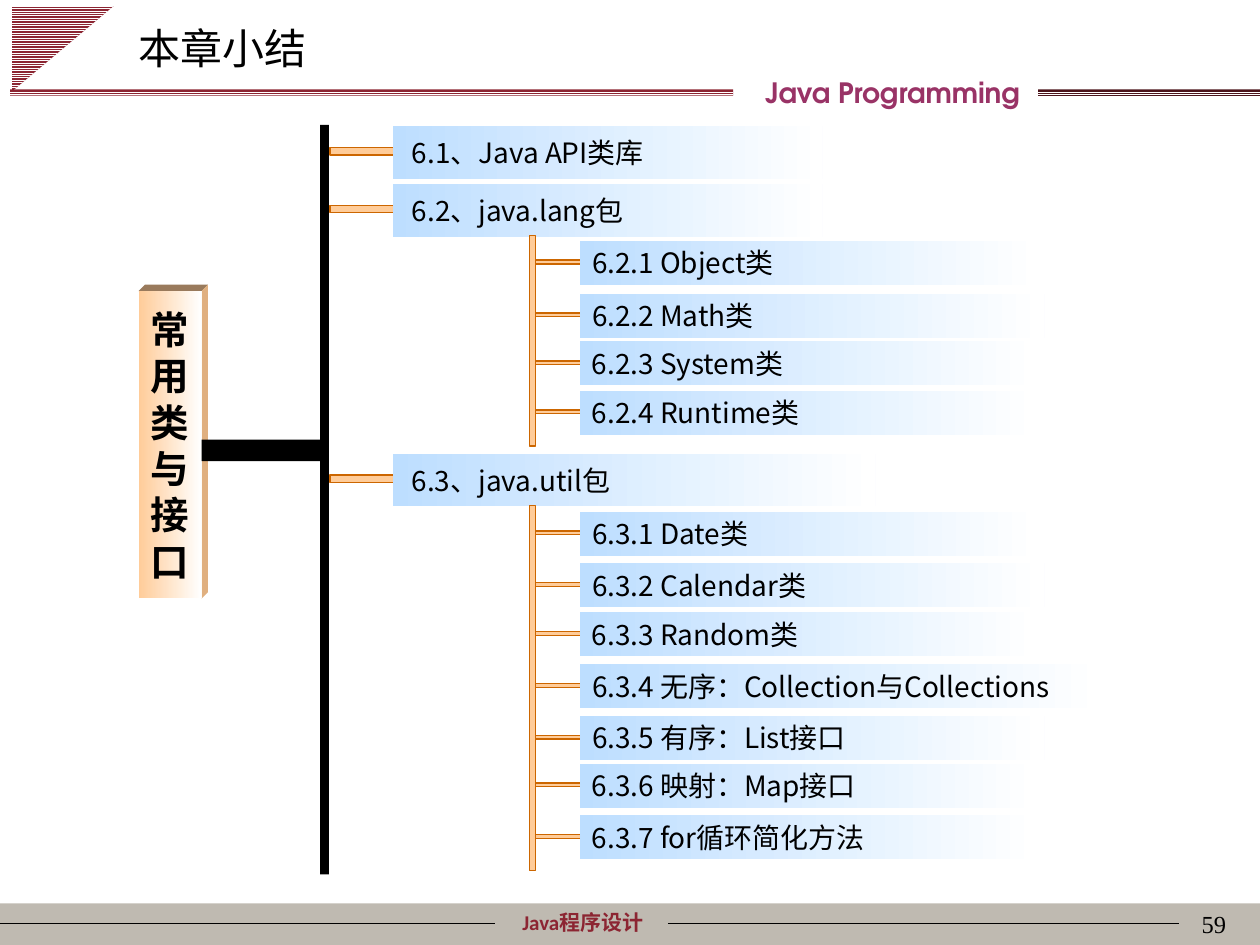
from dataclasses import dataclass
from lxml import etree
from pptx import Presentation, util as u
from pptx.dml.color import RGBColor
from pptx.enum import dml, shapes as sh, text as tx
from pptx.oxml import ns

COLS, ROWS = 100, 75
CELL = u.Inches(0.1)
SANS = "Noto Sans CJK SC"
HUES = {
    "black": "000000", "white": "FFFFFF", "stone": "BFBAB1",
    "wine": "8C2532", "dark": "4C141B", "plum": "993366",
    "peach": "FFCC99", "rust": "CC6600", "sky": "BDDEFF",
    "top": "997A5C", "side": "E0B080",
}


@dataclass(frozen=True)
class Box:
    x: float
    y: float
    w: float
    h: float


@dataclass(frozen=True)
class Leaf:
    label: str
    row: float
    wide: float = 36.4


@dataclass(frozen=True)
class Topic:
    label: str
    row: float
    wide: float = 34.1
    leaves: tuple[Leaf, ...] = ()
    stem: float = 0


TOPICS = (
    Topic(" 6.1、Java API类库", 10),
    Topic(" 6.2、java.lang包", 14.6, stem=16.7, leaves=(
        Leaf("6.2.1 Object类", 19.1, 36.5),
        Leaf("6.2.2 Math类", 23.3, 36.9),
        Leaf("6.2.3 System类", 27.1),
        Leaf("6.2.4 Runtime类", 31),
    )),
    Topic(" 6.3、java.util包", 36, 38.3, stem=29, leaves=(
        Leaf("6.3.1 Date类", 40.6, 36.5),
        Leaf("6.3.2 Calendar类", 44.7, 36.9),
        Leaf("6.3.3 Random类", 48.6),
        Leaf("6.3.4 无序：Collection与Collections", 52.7, 41.5),
        Leaf("6.3.5 有序：List接口", 56.8, 36.9),
        Leaf("6.3.6 映射：Map接口", 60.6),
        Leaf("6.3.7 for循环简化方法", 64.7),
    )),
)


def hue(name: str) -> RGBColor:
    return RGBColor.from_string(HUES[name])


def span(n: float) -> int:
    return round(n * CELL)


def place(box: Box) -> tuple[int, ...]:
    return tuple(span(n) for n in (box.x, box.y, box.w, box.h))


def paint(shape, fill: str, edge: str = ""):
    shape.shadow.inherit = False
    shape.fill.solid()
    shape.fill.fore_color.rgb = hue(fill)
    if edge:
        shape.line.color.rgb = hue(edge)
        shape.line.width = u.Pt(0.75)
    else:
        shape.line.fill.background()
    return shape


def block(slide, box: Box, fill: str, edge: str = "",
          kind=sh.MSO_SHAPE.RECTANGLE):
    return paint(slide.shapes.add_shape(kind, *place(box)), fill, edge)


def fade(slide, box: Box, tint: str):
    shape = block(slide, box, tint)
    shape.fill.gradient()
    shape.fill.gradient_angle = 0
    for stop, name, spot in zip(shape.fill.gradient_stops, (tint, "white"), (0, 1)):
        stop.color.rgb = hue(name)
        stop.position = spot
    return shape


def stripe(slide, box: Box, back: str, kind=sh.MSO_SHAPE.RECTANGLE):
    shape = block(slide, box, back, kind=kind)
    shape.fill.patterned()
    shape.fill.pattern = dml.MSO_PATTERN.LIGHT_HORIZONTAL
    shape.fill.fore_color.rgb = hue("white")
    shape.fill.back_color.rgb = hue(back)
    return shape


def facet(slide, fill: str, *spots: tuple[float, float]):
    first, *rest = [(span(x), span(y)) for x, y in spots]
    form = slide.shapes.build_freeform(*first)
    form.add_line_segments(rest, close=True)
    paint(form.convert_to_shape(), fill)


def rule(slide, x: float, end: float, y: float):
    line = slide.shapes.add_connector(
        sh.MSO_CONNECTOR.STRAIGHT, span(x), span(y), span(end), span(y))
    line.line.color.rgb = hue("black")
    line.line.width = u.Pt(0.75)
    etree.SubElement(line._element.spPr, ns.qn("a:effectLst"))


def write(shape, words: str, *, size: float = 16, font: str = SANS,
          tint: str = "black", bold: bool = False, align=tx.PP_ALIGN.LEFT,
          pad: float = 1, lead: float = 0):
    frame = shape.text_frame
    frame.word_wrap = True
    frame.vertical_anchor = tx.MSO_ANCHOR.MIDDLE
    frame.margin_left = frame.margin_right = span(pad)
    para = frame.paragraphs[0]
    para.alignment = align
    if lead:
        para.line_spacing = u.Pt(lead)
    run = para.add_run()
    run.text = words
    run.font.size, run.font.name, run.font.bold = u.Pt(size), font, bold
    run.font.color.rgb = hue(tint)
    east = etree.SubElement(run.font._element, ns.qn("a:ea"))
    east.set("typeface", SANS)


def label(slide, box: Box, words: str, **form):
    write(slide.shapes.add_textbox(*place(box)), words, **form)


def frame(slide):
    mid = tx.PP_ALIGN.CENTER
    block(slide, Box(0, 71.7, COLS, ROWS - 71.7), "stone")
    label(slide, Box(36.2, 71.7, 20.1, 3), "Java程序设计", size=12,
          font="Calibri", tint="wine", bold=True, align=mid)
    rule(slide, 0, 39.3, 73.3)
    rule(slide, 53, 93.6, 73.3)
    flag = stripe(slide, Box(1.6, -0.2, 6.8, 8.1), "wine",
                  sh.MSO_SHAPE.RIGHT_TRIANGLE)
    flag.rotation = 90
    stripe(slide, Box(82.4, 7.1, 17.6, 0.6), "dark")
    stripe(slide, Box(0.8, 7.1, 57.4, 0.5), "wine")
    label(slide, Box(50.8, 5.5, 40.1, 3.7), "Java Programming",
          font="TeX Gyre Adventor", tint="plum", bold=True, align=mid)
    label(slide, Box(77.5, 71.7, 20.8, 3.3), "59", size=14,
          font="Times New Roman", align=tx.PP_ALIGN.RIGHT)
    label(slide, Box(10, 1.3, 28.5, 5), "本章小结", size=24)


def root(slide):
    facet(slide, "top", (11, 23.1), (11.5, 22.6), (16.5, 22.6), (16, 23.1))
    facet(slide, "side", (16, 23.1), (16.5, 22.6), (16.5, 47), (16, 47.5))
    face = fade(slide, Box(11, 23.1, 5, 24.4), "peach")
    write(face, "常用类与接口", size=22, bold=True,
          align=tx.PP_ALIGN.CENTER, pad=0.5, lead=26.5)
    block(slide, Box(16, 34.9, 10, 1.7), "black")
    block(slide, Box(25.4, 9.9, 0.7, 59.5), "black")


def branch(slide, topic: Topic):
    block(slide, Box(26.2, topic.row + 1.7, 5.1, 0.6), "peach", "rust")
    head = fade(slide, Box(31.2, topic.row, topic.wide, 4.2), "sky")
    write(head, topic.label, align=tx.PP_ALIGN.JUSTIFY)
    for leaf in topic.leaves:
        block(slide, Box(42.2, leaf.row + 1.55, 5.1, 0.3), "peach", "rust")
        write(fade(slide, Box(46, leaf.row, leaf.wide, 3.5), "sky"), leaf.label)
    if topic.leaves:
        block(slide, Box(42, topic.row + 4.1, 0.5, topic.stem), "peach", "rust")


def main():
    deck = Presentation()
    deck.slide_width, deck.slide_height = COLS * CELL, ROWS * CELL
    slide = deck.slides.add_slide(deck.slide_layouts[6])
    frame(slide)
    root(slide)
    for topic in TOPICS:
        branch(slide, topic)
    deck.save("out.pptx")


if __name__ == "__main__":
    main()
